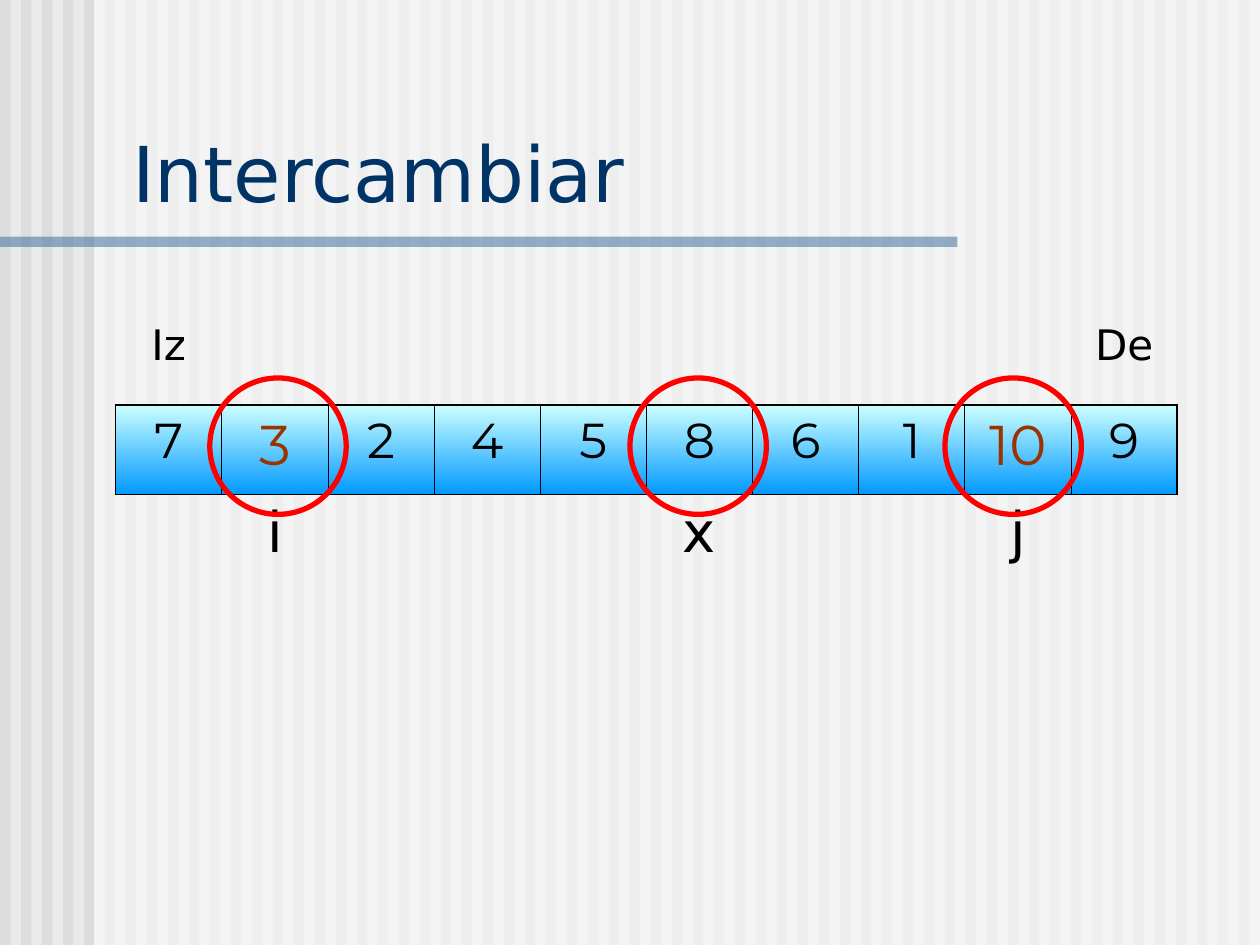
import pptx
import pptx.util
import pptx.dml.color
import pptx.enum.shapes
import pptx.enum.text
import pptx.oxml
import pptx.oxml.ns
import lxml.etree

Cm, Pt = pptx.util.Cm, pptx.util.Pt
ALIGN = pptx.enum.text.PP_ALIGN
SHAPE = pptx.enum.shapes.MSO_SHAPE

COLORS = {
    "paper": "EAEAEA", "stripe": "DDDDDD", "veil": "FFFFFF", "rule": "336699",
    "title": "003366", "text": "000000", "swap": "993300", "ring": "FF0000",
    "cell_top": "CCFFFF", "cell_bottom": "0099FF",
}
WIDTH, HEIGHT = 25.4, 19.05
NO_GRID = "{2D5ABB26-0587-4C30-8999-92F81FD0307C}"


def rgb(name):
    return pptx.dml.color.RGBColor.from_string(COLORS[name])


class Deck:
    label_font, value_font = "DejaVu Sans", "Montserrat"

    def __init__(self, prs):
        self.s = prs.slides.add_slide(prs.slide_layouts[5])

    def background(self, color):
        fill = self.s.background.fill
        fill.solid()
        fill.fore_color.rgb = rgb(color)

    def shape(self, kind, x, y, w, h, fill=None, alpha=None, line=None):
        sp = self.s.shapes.add_shape(kind, Cm(x), Cm(y), Cm(w), Cm(h))
        sp.shadow.inherit = False
        if fill:
            sp.fill.solid()
            sp.fill.fore_color.rgb = rgb(fill)
        else:
            sp.fill.background()
        if alpha:
            clr = sp.fill._xPr.find(".//" + pptx.oxml.ns.qn("a:srgbClr"))
            lxml.etree.SubElement(clr, pptx.oxml.ns.qn("a:alpha"), val=str(alpha * 1000))
        if line:
            sp.line.color.rgb = rgb(line)
            sp.line.width = Pt(3)
        else:
            sp.line.fill.background()

    def run(self, p, text, size, font, color):
        r = p.add_run()
        r.text = text
        r.font.size = Pt(size)
        r.font.name = font
        r.font.color.rgb = rgb(color)

    def title(self, text, x, y, w, h):
        sp = self.s.shapes.title
        sp.left, sp.top, sp.width, sp.height = Cm(x), Cm(y), Cm(w), Cm(h)
        # Bring the title in front of the backdrop
        self.s.shapes._spTree.append(sp._element)
        tf = sp.text_frame
        tf.word_wrap = True
        tf.auto_size = pptx.enum.text.MSO_AUTO_SIZE.NONE
        tf.vertical_anchor = pptx.enum.text.MSO_ANCHOR.BOTTOM
        p = tf.paragraphs[0]
        p.alignment = ALIGN.LEFT
        self.run(p, text, 44, self.label_font, "title")

    def table(self, x, y, col_w, row_h, rows, cols):
        frame = self.s.shapes.add_table(rows, cols, Cm(x), Cm(y),
                                        Cm(col_w * cols), Cm(row_h * rows))
        tbl = frame.table
        tbl.first_row = tbl.horz_banding = False
        tbl._tbl.tblPr.find(pptx.oxml.ns.qn("a:tableStyleId")).text = NO_GRID
        for col in tbl.columns:
            col.width = Cm(col_w)
        for row in tbl.rows:
            row.height = Cm(row_h)
        for cell in tbl.iter_cells():
            cell.fill.background()
        return tbl

    def cell_text(self, cell, text, size, font, color="text"):
        p = cell.text_frame.paragraphs[0]
        p.alignment = ALIGN.CENTER
        p.space_before = Pt(size // 4)
        self.run(p, text, size, font, color)

    def cell_gradient(self, cell, top, bottom):
        cell.fill.gradient()
        cell.fill.gradient_angle = 270
        for stop, color in zip(cell.fill.gradient_stops, (top, bottom)):
            stop.color.rgb = rgb(color)

    def cell_borders(self, cell, **widths):
        tc_pr = cell._tc.get_or_add_tcPr()
        sides = [side for side in "LRTB" if side in widths]
        for i, side in enumerate(sides):
            tc_pr.insert(i, pptx.oxml.parse_xml(
                f'<a:ln{side} {pptx.oxml.ns.nsdecls("a")} w="{Pt(widths[side])}">'
                f'<a:solidFill><a:srgbClr val="{COLORS["text"]}"/></a:solidFill>'
                f'</a:ln{side}>'))


prs = pptx.Presentation()
prs.slide_width, prs.slide_height = Cm(WIDTH), Cm(HEIGHT)
deck = Deck(prs)

# Striped backdrop, veil and rule under the title
deck.background("paper")
stripes = 60
pitch = WIDTH / stripes
for i in range(stripes):
    deck.shape(SHAPE.RECTANGLE, i * pitch, 0, pitch / 2, HEIGHT, "stripe")
deck.shape(SHAPE.RECTANGLE, 1.9, 0, WIDTH - 1.9, HEIGHT, "veil", 50)
deck.shape(SHAPE.RECTANGLE, 0, 4.77, 19.3, 0.21, "rule", 50)

# Array with its end labels and index labels
values = [7, 3, 2, 4, 5, 8, 6, 1, 10, 9]
ends = {0: "Iz", 9: "De"}
indices = {1: "i", 5: "x", 8: "j"}
swapped = (1, 8)
thick, thin = 1.08, 0.45
last = len(values) - 1
tbl = deck.table(2.33, 6.35, 2.14, 1.81, 3, len(values))
for c, value in enumerate(values):
    above, cell, below = (tbl.cell(r, c) for r in range(3))
    if c in ends:
        deck.cell_text(above, ends[c], 24, deck.label_font)
    if c in indices:
        deck.cell_text(below, indices[c], 32, deck.label_font)
    size, color = (32, "swap") if c in swapped else (28, "text")
    deck.cell_text(cell, str(value), size, deck.value_font, color)
    deck.cell_gradient(cell, "cell_top", "cell_bottom")
    deck.cell_borders(above, B=thick)
    deck.cell_borders(cell, L=thin if c else thick, R=thin if c < last else thick,
                      T=thick, B=thick)
    deck.cell_borders(below, T=thick)

# Title and rings around the pivot and the swapped values
deck.title("Intercambiar", 2.41, 2.39, 22.68, 2.13)
for x in (4.23, 12.7, 19.05):
    deck.shape(SHAPE.OVAL, x, 7.62, 2.75, 2.75, line="ring")

prs.save("out.pptx")
